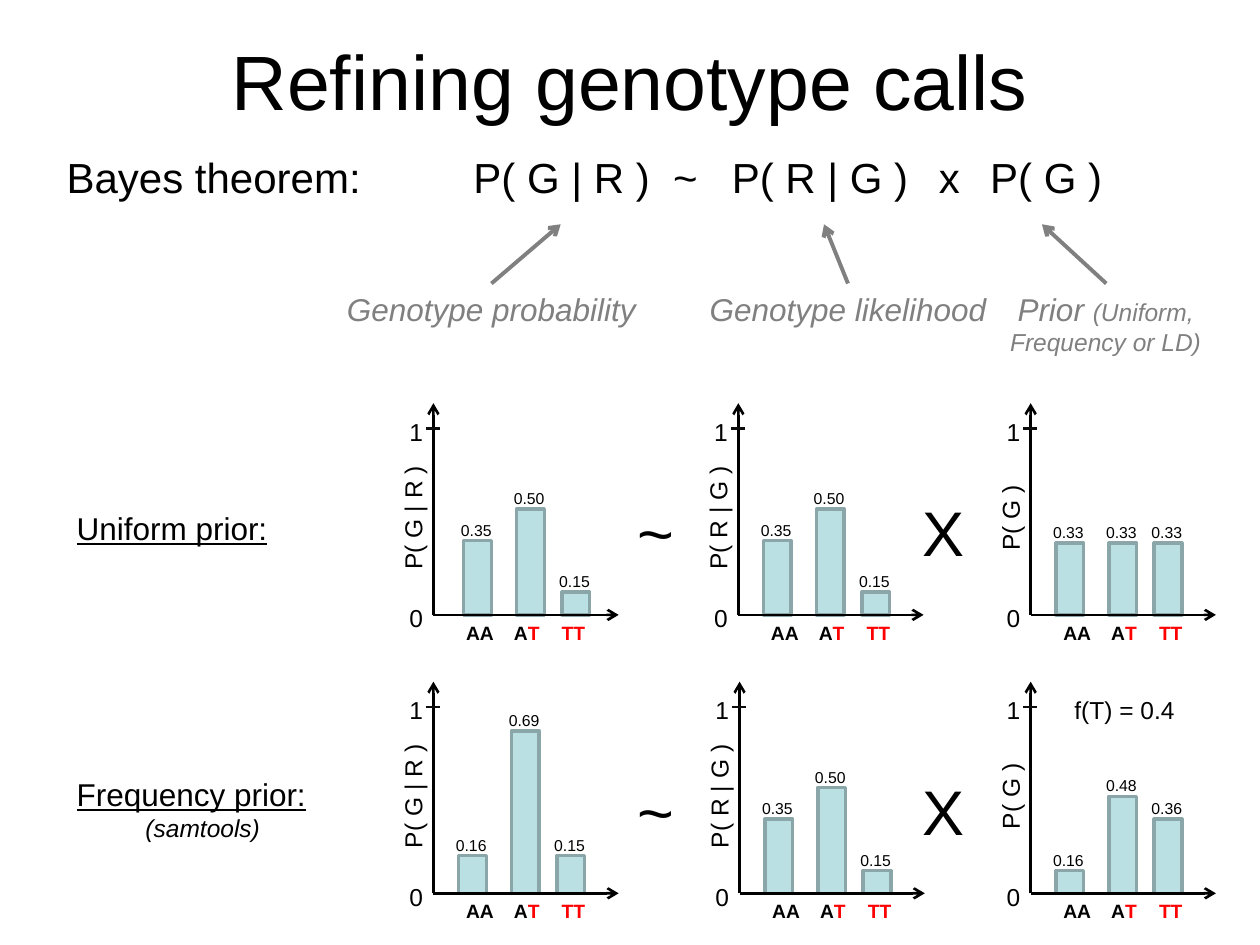
"""Build the slide on refining genotype calls with Bayes theorem."""
from lxml import etree
from pptx import Presentation
from pptx.dml.color import RGBColor
from pptx.enum import shapes, text
from pptx.oxml import ns
from pptx.util import Inches, Pt

BLACK, GREY, RED = "000000", "808080", "FF0000"
CENTER = text.PP_ALIGN.CENTER


def write(left, top, width, height, wording, size, color=BLACK, align=None):
    box = slide.shapes.add_textbox(Inches(left), Inches(top), Inches(width), Inches(height))
    box.text_frame.word_wrap = True
    paragraph = box.text_frame.paragraphs[0]
    paragraph.text = wording
    paragraph.alignment = align
    paragraph.font.name = "Arial"
    paragraph.font.size = Pt(size)
    paragraph.font.color.rgb = RGBColor.from_string(color)
    return box, paragraph


def draw_line(x1, y1, x2, y2, color=BLACK, width=1.5, arrow=True):
    line = slide.shapes.add_connector(
        shapes.MSO_CONNECTOR.STRAIGHT, Inches(x1), Inches(y1), Inches(x2), Inches(y2))
    line.line.color.rgb = RGBColor.from_string(color)
    line.line.width = Pt(width)
    if arrow:
        etree.SubElement(line.line._get_or_add_ln(), ns.qn("a:tailEnd"), type="arrow")
    etree.SubElement(line._element.spPr, ns.qn("a:effectLst"))


prs = Presentation()
prs.slide_width, prs.slide_height = Inches(10), Inches(7.5)
slide = prs.slides.add_slide(prs.slide_layouts[5])

title = slide.shapes.title
title.left, title.top, title.width, title.height = map(Inches, (0.5, 0.01, 9, 1.25))
title.text_frame.vertical_anchor = text.MSO_ANCHOR.MIDDLE
heading = title.text_frame.paragraphs[0]
heading.text = "Refining genotype calls"
heading.alignment = CENTER
heading.font.name = "Arial"
heading.font.size = Pt(44)
heading.font.color.rgb = RGBColor.from_string(BLACK)

for left, width, term, align in [
    (0.43, 3.15, "Bayes theorem:", None),
    (3.66, 2.2, "P( G | R )  ~", None),
    (5.71, 1.65, "P( R | G )", None),
    (6.71, 1.65, "x", CENTER),
    (7.76, 1.65, "P( G )", None),
]:
    write(left, 1.15, width, 0.5, term, 24, align=align)

for left, width, height, meaning, tail_x, head_x in [
    (2.56, 2.68, 0.4, "Genotype probability", 3.9, 4.45),
    (5.39, 2.68, 0.4, "Genotype likelihood", 6.73, 6.54),
    (7.83, 1.89, 0.64, "Prior ", 8.78, 8.27),
]:
    _, explanation = write(left, 2.25, width, height, meaning, 18, GREY, CENTER)
    explanation.font.italic = True
    draw_line(tail_x, 2.25, head_x, 1.78, GREY, 2.25)
prior_kinds = explanation.add_run()
prior_kinds.text = "(Uniform, Frequency or LD)"
prior_kinds.font.size = Pt(14)

for top, height, prior in [(3.99, 0.4, "Uniform prior:"), (6.1, 0.64, "Frequency prior:")]:
    prior_box, prior_name = write(0.51, top, 2.2, height, prior, 18)
    prior_name.font.underline = True
tool = prior_box.text_frame.add_paragraph()
tool.text = "(samtools)"
tool.alignment = CENTER
tool.font.name = "Arial"
tool.font.size = Pt(14)
tool.font.italic = True
tool.font.color.rgb = RGBColor.from_string(BLACK)

likelihood = [("0.35", 0.59), ("0.50", 0.84), ("0.15", 0.18)]
uniform = [("0.33", 0.57)] * 3
frequency = [("0.16", 0.18), ("0.48", 0.77), ("0.36", 0.59)]
refined = [("0.16", 0.3), ("0.69", 1.29), ("0.15", 0.3)]
panels = [
    (3.44, 4.88, "P( G | R )", 0.24, likelihood),
    (5.86, 4.88, "P( R | G )", 0.2, likelihood),
    (8.18, 4.88, "P( G )", 0.2, uniform),
    (3.44, 7.09, "P( G | R )", 0.2, refined),
    (5.87, 7.09, "P( R | G )", 0.2, likelihood),
    (8.18, 7.09, "P( G )", 0.2, frequency),
]
for axis_x, base, quantity, first_bar, bars in panels:
    for bar_offset, (value, height) in zip((0, 0.42, 0.78), bars):
        bar_x = axis_x + first_bar + bar_offset
        bar = slide.shapes.add_shape(
            shapes.MSO_SHAPE.RECTANGLE,
            Inches(bar_x), Inches(base - height), Inches(0.22), Inches(height))
        bar.shadow.inherit = False
        bar.fill.solid()
        bar.fill.fore_color.rgb = RGBColor.from_string("BBE0E3")
        bar.line.color.rgb = RGBColor.from_string("8AA6A8")
        bar.line.width = Pt(2)
        write(bar_x - 0.12, base - height - 0.21, 0.47, 0.25, value, 9)

    draw_line(axis_x, base, axis_x, base - 1.68)
    draw_line(axis_x, base, axis_x + 1.47, base)
    draw_line(axis_x - 0.06, base - 1.48, axis_x + 0.05, base - 1.48, "0D0D0D", arrow=False)
    write(axis_x - 0.29, base - 1.62, 0.22, 0.34, "1", 14)
    write(axis_x - 0.29, base - 0.14, 0.22, 0.34, "0", 14)
    axis_title, _ = write(axis_x - 0.68, base - 0.94, 1.04, 0.34, quantity, 14, align=CENTER)
    axis_title.rotation = 270

    _, genotypes = write(axis_x + 0.16, base, 1.19, 0.29, "AA\tA", 11)
    genotypes.font.bold = True
    mutant = genotypes.add_run()
    mutant.text = "T\tTT"
    mutant.font.color.rgb = RGBColor.from_string(RED)
    tab_stops = etree.Element(ns.qn("a:tabLst"))
    for stop in (0.38, 0.76):
        etree.SubElement(tab_stops, ns.qn("a:tab"), pos=str(Inches(stop)), algn="l")
    genotypes._p.pPr.insert(0, tab_stops)

for top in (3.87, 6.08):
    for left, operator in [(4.96, "~"), (7.22, "X")]:
        write(left, top, 0.44, 0.49, operator, 36, align=CENTER)
write(8.32, 5.47, 1.21, 0.34, "f(T) = 0.4", 14, align=CENTER)

prs.save("out.pptx")
